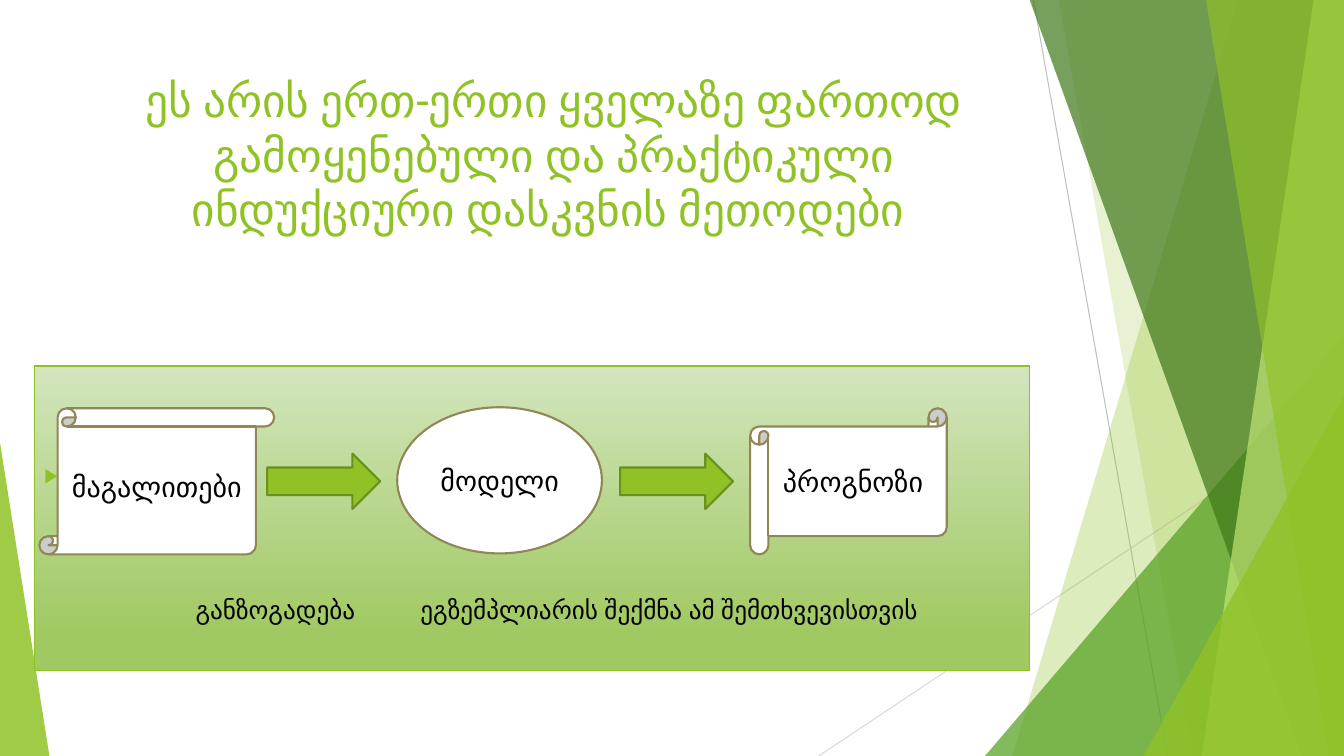
from dataclasses import dataclass

from lxml import etree
from pptx import Presentation
from pptx.dml.color import RGBColor
from pptx.enum.shapes import MSO_CONNECTOR, MSO_SHAPE as Preset
from pptx.enum.text import MSO_ANCHOR as Anchor, PP_ALIGN as Align
from pptx.oxml.ns import qn
from pptx.util import Inches, Pt


@dataclass(frozen=True)
class Theme:
    """Colours, fonts and type sizes of the slide."""
    green: str = "90C226"
    lime: str = "C0E474"
    leaf: str = "54A021"
    forest: str = "3F7819"
    arrow_edge: str = "6B901C"
    olive: str = "918655"
    white: str = "FFFFFF"
    black: str = "000000"
    panel_top: str = "D3E5BE"
    panel_bottom: str = "A0C962"
    title_font: str = "Roboto"
    body_font: str = "Open Sans"
    title_size: float = 32.4
    label_size: float = 20
    caption_size: float = 18
    bullet_size: float = 14.4


theme = Theme()


def paint(shape, fill=None, opacity=100, line=None, width=1.5):
    """Set fill, opacity and outline, and switch off the shadow."""
    shape.shadow.inherit = False
    if fill:
        shape.fill.solid()
        shape.fill.fore_color.rgb = RGBColor.from_string(fill)
        if opacity < 100:
            color = shape._element.spPr.find(qn("a:solidFill"))[0]
            etree.SubElement(color, qn("a:alpha"), val=str(opacity * 1000))
    if line:
        shape.line.color.rgb = RGBColor.from_string(line)
        shape.line.width = Pt(width)
    else:
        shape.line.fill.background()


def write_text(shape, text, size=theme.label_size, font=theme.body_font, color=theme.black,
               align=Align.CENTER, anchor=Anchor.MIDDLE, insets=(0.1, 0.05, 0.1, 0.05)):
    """Write one formatted paragraph into a shape and return it."""
    frame = shape.text_frame
    frame.word_wrap = True
    frame.vertical_anchor = anchor
    (frame.margin_left, frame.margin_top,
     frame.margin_right, frame.margin_bottom) = map(Inches, insets)
    paragraph = frame.paragraphs[0]
    paragraph.alignment = align
    paragraph.text = text
    for run in paragraph.runs:
        run.font.size = Pt(size)
        run.font.name = font
        run.font.color.rgb = RGBColor.from_string(color)
    return paragraph


presentation = Presentation()
presentation.slide_width, presentation.slide_height = Inches(13.33), Inches(7.5)
slide = presentation.slides.add_slide(presentation.slide_layouts[6])
shapes = slide.shapes

# Thin background lines
for ends, color in [((10.25, 0, 11.58, 7.5), "BFBFBF"), ((13.33, 4.03, 8.12, 7.5), "D9D9D9")]:
    line = shapes.add_connector(MSO_CONNECTOR.STRAIGHT, *map(Inches, ends))
    line.line.color.rgb = RGBColor.from_string(color)
    line.line.width = Pt(0.75)
    etree.SubElement(line._element.spPr, qn("a:effectLst"))

# Facets: a band has (top x, bottom x) and reaches the right edge;
# a triangle has its box and the place of its apex
facets = [
    ((12.28, 10.04), theme.green, 30),
    ((10.5, 11.83), theme.green, 20),
    ((9.77, 3.33, 3.56, 4.17, 1), theme.leaf, 72),
    ((10.21, 12.91), theme.forest, 70),
    ((13.03, 11.92), theme.lime, 70),
    ((11.96, 13.18), theme.green, 65),
    ((11.34, 3.93, 1.99, 3.57, 1), theme.green, 80),
    ((0, 4.39, 0.49, 3.11, 0), theme.green, 85),
]
for geometry, color, opacity in facets:
    if len(geometry) == 2:
        top_x, bottom_x = geometry
        outline = shapes.build_freeform(Inches(top_x), Inches(-0.01))
        corners = [(13.33, -0.01), (13.33, 7.5), (bottom_x, 7.5)]
        outline.add_line_segments([(Inches(x), Inches(y)) for x, y in corners])
        facet = outline.convert_to_shape()
    else:
        *box, apex = geometry
        facet = shapes.add_shape(Preset.ISOSCELES_TRIANGLE, *map(Inches, box))
        facet.adjustments[0] = apex
    paint(facet, color, opacity)

title = shapes.add_textbox(*map(Inches, (0.85, 0.67, 9.29, 1.7)))
write_text(title, "ეს არის ერთ-ერთი ყველაზე ფართოდ გამოყენებული და პრაქტიკული "
                  "ინდუქციური დასკვნის მეთოდები ",
           size=theme.title_size, font=theme.title_font, color=theme.green, anchor=Anchor.TOP)

# Panel with the two captions, the second one at a tab stop
panel = shapes.add_shape(Preset.RECTANGLE, *map(Inches, (0.34, 3.63, 9.87, 3.02)))
paint(panel, line=theme.green, width=1)
panel.fill.gradient()
panel.fill.gradient_angle = 270
stops = [(0, theme.panel_top), (0.88, theme.panel_bottom)]
for stop, (position, color) in zip(panel.fill.gradient_stops, stops):
    stop.position = position
    stop.color.rgb = RGBColor.from_string(color)
captions = write_text(panel, "განზოგადება\tეგზემპლიარის შექმნა ამ შემთხვევისთვის",
                      size=theme.caption_size, align=Align.LEFT, anchor=Anchor.BOTTOM,
                      insets=(1.6, 0.05, 0.1, 0.45))
tabs = etree.SubElement(captions._p.get_or_add_pPr(), qn("a:tabLst"))
etree.SubElement(tabs, qn("a:tab"), pos=str(Inches(2.23)), algn="l")

bullet = shapes.add_textbox(*map(Inches, (0.44, 4.51, 0.3, 0.4)))
write_text(bullet, "▶", size=theme.bullet_size, color=theme.green,
           align=Align.LEFT, insets=(0, 0, 0, 0))

# Examples -> model -> forecast
steps = [
    (Preset.VERTICAL_SCROLL, (0.39, 4.05, 2.33, 1.45), "მაგალითები"),
    (Preset.OVAL, (3.94, 4.04, 2.03, 1.45), "მოდელი"),
    (Preset.HORIZONTAL_SCROLL, (7.44, 4.05, 1.95, 1.45), "პროგნოზი"),
]
for preset, box, label in steps:
    step = shapes.add_shape(preset, *map(Inches, box))
    paint(step, theme.white, line=theme.olive)
    write_text(step, label)

for left in (2.65, 6.15):
    arrow = shapes.add_shape(Preset.RIGHT_ARROW, *map(Inches, (left, 4.5, 1.12, 0.55)))
    paint(arrow, theme.green, line=theme.arrow_edge)

presentation.save("out.pptx")
